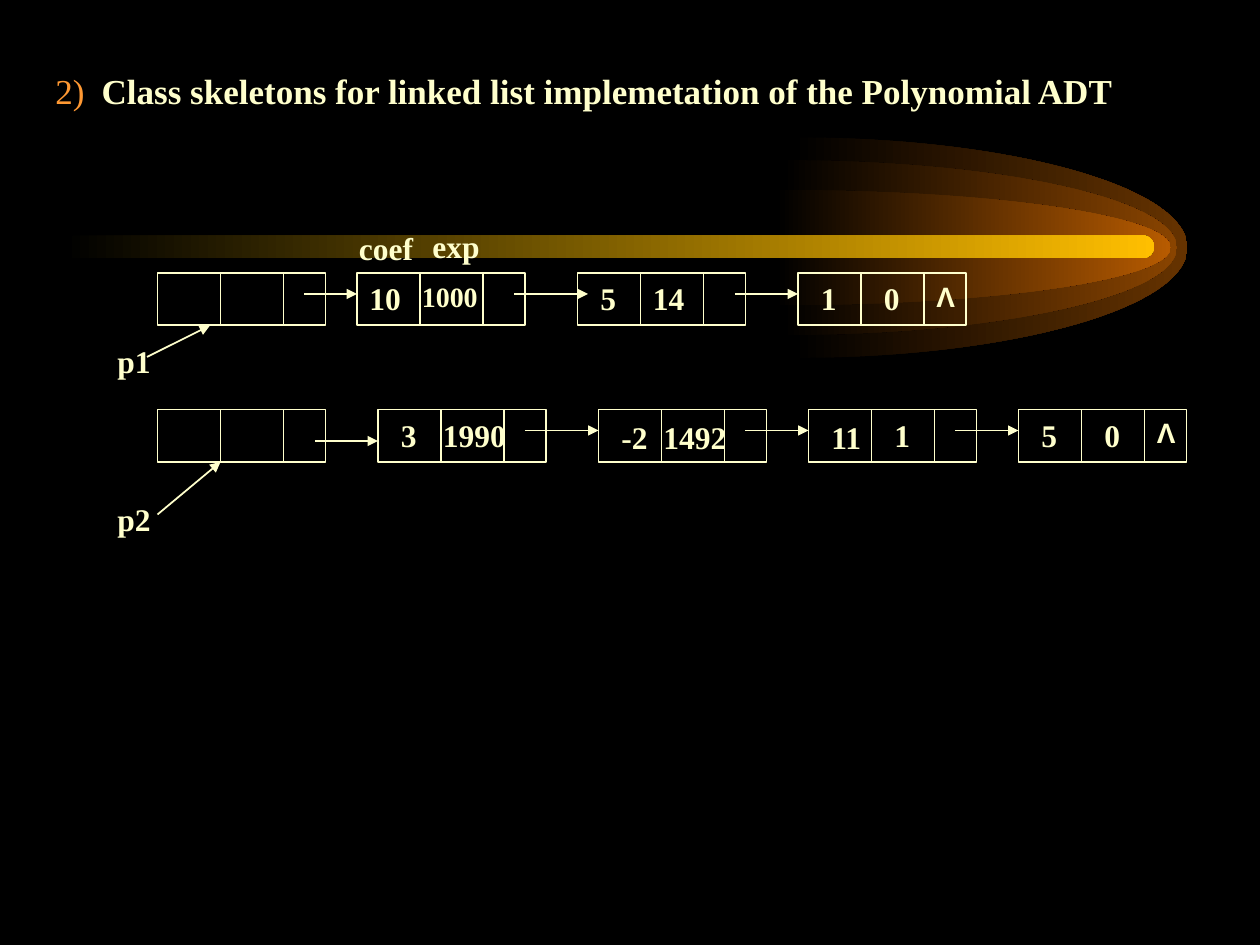
from dataclasses import dataclass

from lxml.etree import SubElement
from pptx import Presentation
from pptx.dml.color import RGBColor as RGB
from pptx.enum.shapes import MSO_CONNECTOR as CONN, MSO_SHAPE as SHAPE
from pptx.enum.text import MSO_ANCHOR as ANCHOR, MSO_AUTO_SIZE as AUTO, PP_ALIGN as ALIGN
from pptx.oxml.ns import qn
from pptx.util import Pt


@dataclass(frozen=True)
class Theme:
    """Colours, fonts and type sizes of the slide."""
    back: RGB = RGB(0, 0, 0)
    ink: RGB = RGB(0xFF, 0xFF, 0xCC)
    accent: RGB = RGB(0xFF, 0x99, 0x33)
    bar: RGB = RGB(0xFF, 0xBF, 0x00)
    glow: tuple = (RGB(0x66, 0x33, 0x00), RGB(0x89, 0x44, 0x00), RGB(0xB7, 0x5B, 0x00))
    font: str = "Times New Roman"
    null_font: str = "Arial"
    heading: int = 20
    label: int = 18
    small: int = 16
    line: int = 1


T = Theme()
NODE_W, NODE_H, CELL_W = 96, 30, 36
NULL = "Λ"


def add_run(p, text, size=T.label, color=T.ink, bold=True, font=T.font):
    """Append a formatted run to a paragraph."""
    r = p.add_run()
    r.text = text
    r.font.size, r.font.bold, r.font.name = Pt(size), bold, font
    r.font.color.rgb = color


def add_label(s, text, x, y, w, **fmt):
    """Place a short text whose box starts at x, y."""
    tf = s.shapes.add_textbox(Pt(x), Pt(y), Pt(w), Pt(29)).text_frame
    tf.word_wrap = True
    add_run(tf.paragraphs[0], text, **fmt)


def add_line(s, x1, y1, x2, y2, arrow=False):
    """Draw a straight line, with an arrowhead at its end if asked."""
    c = s.shapes.add_connector(CONN.STRAIGHT, Pt(x1), Pt(y1), Pt(x2), Pt(y2))
    c.line.color.rgb, c.line.width = T.ink, Pt(T.line)
    if arrow:
        SubElement(c.line._ln, qn("a:tailEnd"), type="triangle")
    SubElement(c._element.spPr, qn("a:effectLst"))


def fade(sp, color):
    """Fill a shape from the background colour on the left to a colour."""
    sp.shadow.inherit = False
    sp.line.fill.background()
    sp.fill.gradient()
    sp.fill.gradient_angle = 0
    for stop, rgb, at in zip(sp.fill.gradient_stops, (T.back, color), (0, 1)):
        stop.color.rgb, stop.position = rgb, at


def add_half_ellipse(s, x, y, w, h):
    """Draw the right half of an ellipse with two Bézier curves."""
    k, mid, right, bottom = 0.55, y + h / 2, x + w, y + h
    points = [(x + k * w, y), (right, mid - k * h / 2), (right, mid),
              (right, mid + k * h / 2), (x + k * w, bottom), (x, bottom)]
    fb = s.shapes.build_freeform(Pt(x), Pt(y))
    fb.add_line_segments([(Pt(px), Pt(py)) for px, py in points], close=True)
    sp = fb.convert_to_shape()
    segments = list(sp._element.iter(qn("a:lnTo")))
    for first in (0, 3):
        curve = segments[first].makeelement(qn("a:cubicBezTo"))
        segments[first].addprevious(curve)
        for segment in segments[first:first + 3]:
            curve.append(segment[0])
            segment.getparent().remove(segment)
    return sp


def add_comet(s, x, y, w, h):
    """Draw the comet: three half ellipses around the end of a bar."""
    mid = y + h / 2
    for left, height, color in zip((453, 447, 443.5), (h, 100, 66), T.glow):
        fade(add_half_ellipse(s, left, mid - height / 2, 225.5, height), color)
    bar = s.shapes.add_shape(SHAPE.ROUNDED_RECTANGLE, Pt(x), Pt(mid - 7), Pt(w), Pt(13))
    bar.adjustments[0] = 0.5
    fade(bar, T.bar)


def add_heading(s, x, y, w, h):
    """Write the numbered heading in the body placeholder."""
    title, body = s.shapes.title, s.placeholders[1]
    title._element.getparent().remove(title._element)
    body.left, body.top, body.width, body.height = Pt(x), Pt(y), Pt(w), Pt(h)
    tf = body.text_frame
    tf.auto_size, tf.vertical_anchor = AUTO.NONE, ANCHOR.TOP
    p = tf.paragraphs[0]
    p.alignment, p.space_before = ALIGN.LEFT, Pt(0)
    pPr = p._p.get_or_add_pPr()
    pPr.set("marL", str(Pt(36.5)))
    pPr.set("indent", str(-Pt(26.5)))
    SubElement(pPr, qn("a:buNone"))
    add_run(p, "2)\t", size=T.heading, color=T.accent, bold=False)
    add_run(p, "Class skeletons for linked list implemetation of the Polynomial ADT",
            size=T.heading)


def add_node(s, x, y, labels):
    """Draw a three-cell node; labels are text, offset, width, drop and format."""
    box = s.shapes.add_shape(SHAPE.RECTANGLE, Pt(x), Pt(y), Pt(NODE_W), Pt(NODE_H))
    box.shadow.inherit = False
    box.fill.background()
    box.line.color.rgb, box.line.width = T.ink, Pt(T.line)
    for i in (1, 2):
        add_line(s, x + i * CELL_W, y, x + i * CELL_W, y + NODE_H)
    for text, dx, w, drop, fmt in labels:
        add_label(s, text, x + dx, y + drop, w, **fmt)


def add_list(s, y, nodes, links, name, name_y, pointer):
    """Draw one linked list with its nodes, links and named pointer."""
    for x, labels in nodes:
        add_node(s, x, y, labels)
    for x1, x2, dy in links:
        add_line(s, x1, y + dy, x2, y + dy, arrow=True)
    add_label(s, name, 60, name_y, 54)
    add_line(s, *pointer, arrow=True)


def value(text, dx, w, drop=0, **fmt):
    """Describe one label inside a node."""
    return text, dx, w, drop, fmt


def null(w):
    """Describe the null mark in the last cell of a node."""
    return value(NULL, 72, w, size=T.small, font=T.null_font)


def main():
    """Build and save the slide."""
    prs = Presentation()
    prs.slide_width, prs.slide_height = Pt(720), Pt(540)
    s = prs.slides.add_slide(prs.slide_layouts[1])
    s.background.fill.solid()
    s.background.fill.fore_color.rgb = T.back
    add_comet(s, 36, 78.5, 623.5, 126)
    add_heading(s, 14.4, 36, 651.5, 450)
    add_list(
        s, 156,
        nodes=[(90, []),
               (204, [value("10", 0, 48), value("1000", 30, 66, size=T.small)]),
               (330, [value("5", 6, 42), value("14", 36, 60)]),
               (456, [value("1", 6, 36), value("0", 42, 30), null(24)])],
        links=[(174, 204, 12), (294, 336, 12), (420, 456, 12)],
        name="p1", name_y=192, pointer=(84, 204, 120, 186))
    add_list(
        s, 234,
        nodes=[(90, []),
               (216, [value("3", 6, 30), value("1990", 30, 60)]),
               (342, [value("-2", 6, 36, 1.5), value("1492", 30, 54, 1.5)]),
               (462, [value("11", 6, 36, 1.5), value("1", 42, 36)]),
               (582, [value("5", 6, 36), value("0", 42, 42), null(30)])],
        links=[(180, 216, 18), (300, 342, 12), (426, 462, 12), (546, 582, 12)],
        name="p2", name_y=282, pointer=(90, 294, 126, 264))
    add_label(s, "coef", 198, 127.5, 54)
    add_label(s, "exp", 240, 126, 72)
    prs.save("out.pptx")


if __name__ == "__main__":
    main()
